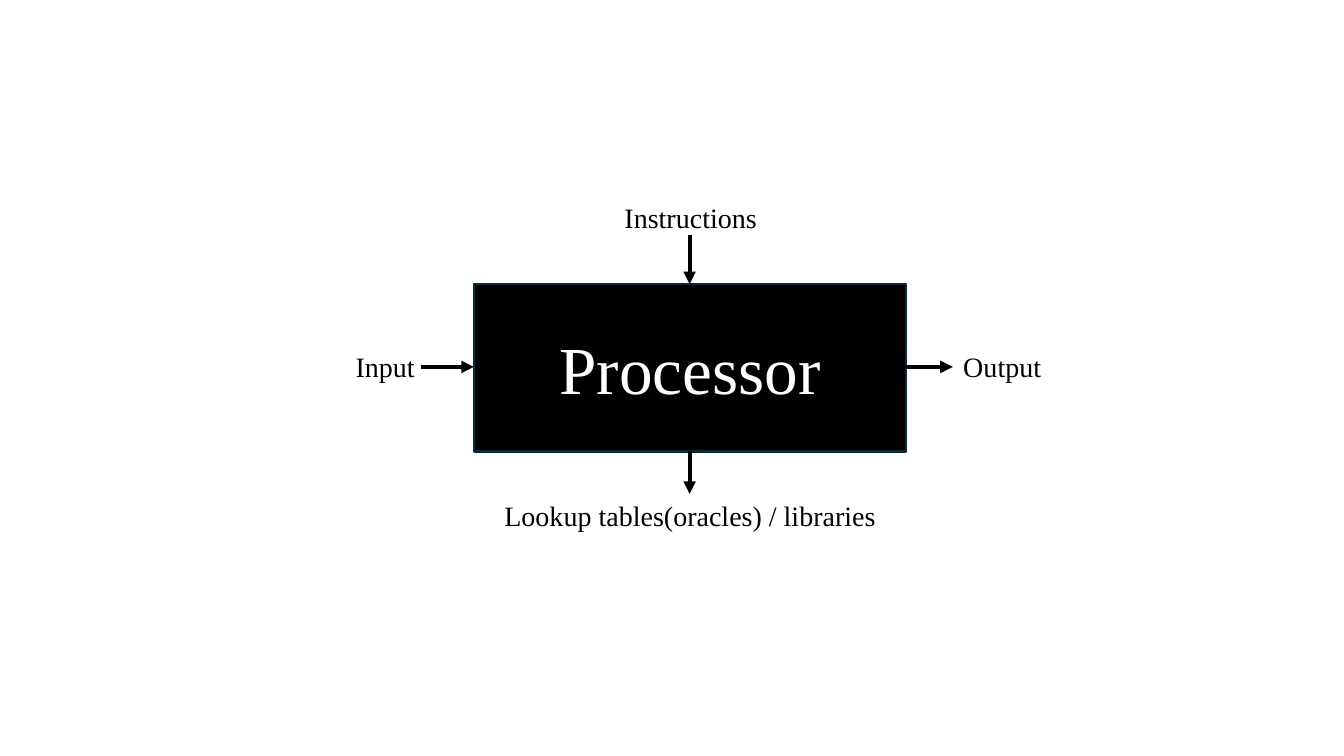
"""Build a slide showing a processor with its inputs and outputs."""
import pptx
import pptx.chart.data
import pptx.dml.color
import pptx.enum.shapes
import pptx.enum.text
import pptx.oxml
import pptx.oxml.ns
import pptx.util

Inches = pptx.util.Inches


def color(hex_code):
    return pptx.dml.color.RGBColor.from_string(hex_code)


def write(shape, text, size, hex_code):
    para = shape.text_frame.paragraphs[0]
    para.alignment = pptx.enum.text.PP_ALIGN.CENTER
    span = para.add_run()
    span.text = text
    span.font.name = "Times New Roman"
    span.font.size = pptx.util.Pt(size)
    span.font.color.rgb = color(hex_code)


deck = pptx.Presentation()
deck.slide_width, deck.slide_height = Inches(13.33), Inches(7.5)
page = deck.slides.add_slide(deck.slide_layouts[6])

processor = page.shapes.add_shape(
    pptx.enum.shapes.MSO_SHAPE.RECTANGLE,
    Inches(4.7), Inches(2.82), Inches(4.29), Inches(1.66))
processor.shadow.inherit = False
processor.fill.solid()
processor.fill.fore_color.rgb = color("000000")
processor.line.color.rgb = color("092A39")
processor.line.width = pptx.util.Pt(1.5)
processor.text_frame.vertical_anchor = pptx.enum.text.MSO_ANCHOR.MIDDLE
write(processor, "Processor", 48, "FFFFFF")

arrows = [
    (4.18, 3.64, 4.7, 3.64),
    (8.81, 3.64, 9.45, 3.64),
    (6.84, 2.33, 6.84, 2.82),
    (6.84, 4.47, 6.84, 4.9),
]
for ends in arrows:
    arrow = page.shapes.add_connector(
        pptx.enum.shapes.MSO_CONNECTOR.STRAIGHT, *map(Inches, ends))
    arrow.line.color.rgb = color("000000")
    arrow.line.width = pptx.util.Pt(3)
    head = pptx.oxml.ns.qn("a:tailEnd")
    arrow.line._get_or_add_ln().append(
        arrow._element.makeelement(head, {"type": "triangle"}))
    arrow._element.spPr.append(
        arrow._element.makeelement(pptx.oxml.ns.qn("a:effectLst"), {}))

labels = [
    ("Lookup tables(oracles) / libraries", 4.7, 4.9, 4.29),
    ("Instructions", 6.04, 1.94, 1.62),
    ("Output", 9.13, 3.42, 1.62),
    ("Input", 3.01, 3.42, 1.62),
]
for text, left, top, width in labels:
    box = page.shapes.add_textbox(
        Inches(left), Inches(top), Inches(width), Inches(0.44))
    box.text_frame.word_wrap = True
    box.text_frame.auto_size = pptx.enum.text.MSO_AUTO_SIZE.SHAPE_TO_FIT_TEXT
    write(box, text, 20, "000000")

deck.save("out.pptx")
